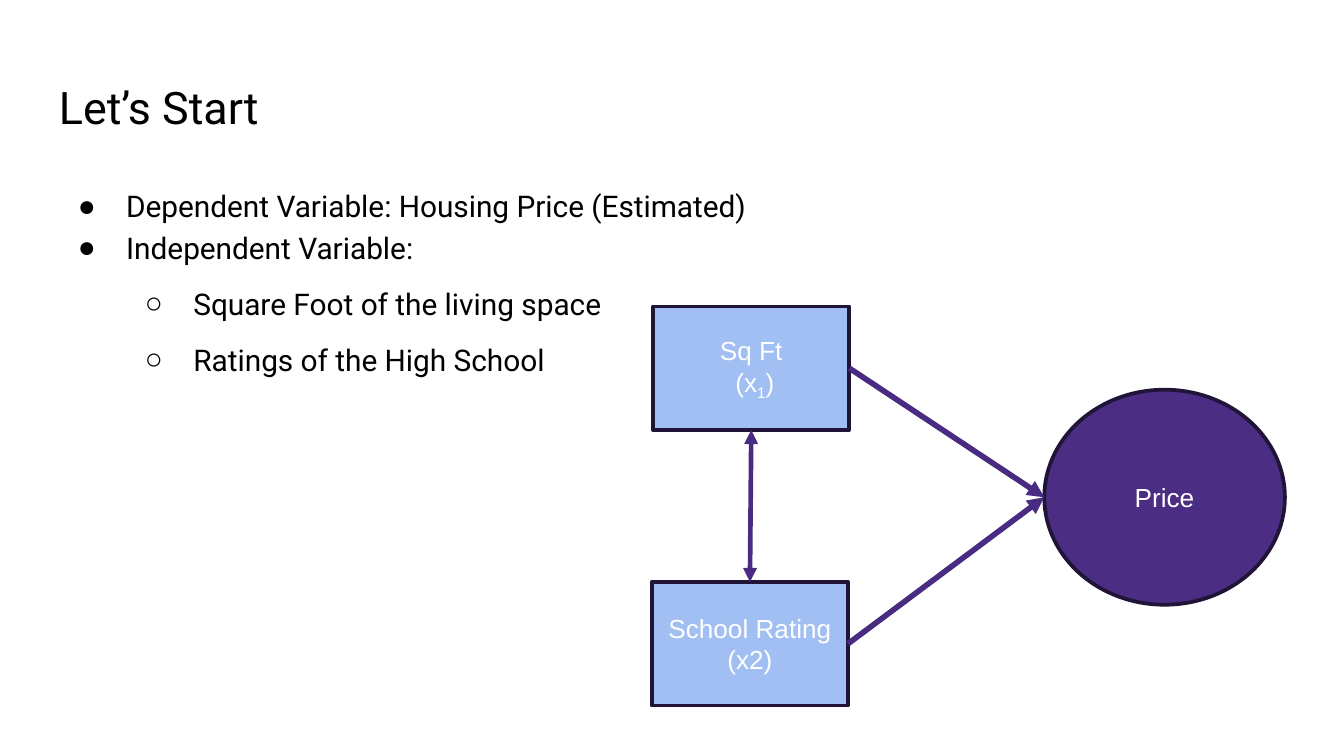
import lxml.etree
import pptx
import pptx.dml.color
import pptx.enum.shapes
import pptx.enum.text
import pptx.oxml.ns
import pptx.util

Inches = pptx.util.Inches
Pt = pptx.util.Pt
RGBColor = pptx.dml.color.RGBColor
Shape = pptx.enum.shapes.MSO_SHAPE
Align = pptx.enum.text.PP_ALIGN
qn = pptx.oxml.ns.qn

BLACK = RGBColor(0x00, 0x00, 0x00)
WHITE = RGBColor(0xFF, 0xFF, 0xFF)
PURPLE = RGBColor(0x4B, 0x2E, 0x83)
ARROW = RGBColor(0x49, 0x2B, 0x82)
OUTLINE = RGBColor(0x21, 0x14, 0x39)
BLUE = RGBColor(0xA1, 0xBF, 0xF3)


def write(frame, text, size=14, font="Arial", color=WHITE, align=Align.CENTER,
          bullet=None, level=0, spacing=None, before=0):
    para = frame.paragraphs[0] if not frame.text else frame.add_paragraph()
    para.alignment = align
    para.level = level
    para.space_before = Pt(before)
    if spacing:
        para.line_spacing = spacing
    if bullet:
        properties = para._p.get_or_add_pPr()
        properties.set("marL", str(Inches(0.5 * (level + 1))))
        properties.set("indent", str(Inches(-0.36)))
        tint = lxml.etree.SubElement(properties, qn("a:buClr"))
        lxml.etree.SubElement(tint, qn("a:srgbClr"), val=str(color))
        lxml.etree.SubElement(properties, qn("a:buFont"), typeface="Arial")
        lxml.etree.SubElement(properties, qn("a:buChar"), char=bullet)
    for index, part in enumerate(text.split("_")):
        span = para.add_run()
        span.text = part
        span.font.size = Pt(size)
        span.font.name = font
        span.font.color.rgb = color
        if index % 2:
            span._r.get_or_add_rPr().set("baseline", "-25000")


deck = pptx.Presentation()
deck.slide_width = Inches(10)
deck.slide_height = Inches(10) * 9 // 16
page = deck.slides.add_slide(deck.slide_layouts[6])

frames = []
for top, height in [(0.49, 0.63), (1.26, 3.74)]:
    box = page.shapes.add_textbox(Inches(0.34), Inches(top), Inches(9.32), Inches(height))
    frame = box.text_frame
    frame.word_wrap = True
    frame.margin_left = frame.margin_right = Inches(0.1)
    frame.margin_top = frame.margin_bottom = Inches(0.1)
    frames.append(frame)
title, body = frames

write(title, "Let’s Start", size=24, font="Roboto", color=BLACK, align=Align.LEFT)
for text, level in [
    ("Dependent Variable: Housing Price (Estimated)", 0),
    ("Independent Variable:", 0),
    ("Square Foot of the living space", 1),
    ("Ratings of the High School", 1),
]:
    write(body, text, size=16, font="Roboto", color=BLACK, align=Align.LEFT,
          bullet="●○"[level], level=level, spacing=1.15, before=8 * level)

for kind, left, top, width, height, fill, lines in [
    (Shape.OVAL, 7.77, 2.9, 1.79, 1.6, PURPLE, ["Price"]),
    (Shape.RECTANGLE, 4.86, 2.28, 1.46, 0.92, BLUE, ["Sq Ft", " (x_1_)"]),
    (Shape.RECTANGLE, 4.85, 4.33, 1.46, 0.92, BLUE, ["School Rating (x2)"]),
]:
    node = page.shapes.add_shape(kind, Inches(left), Inches(top), Inches(width), Inches(height))
    node.shadow.inherit = False
    node.fill.solid()
    node.fill.fore_color.rgb = fill
    node.line.color.rgb = OUTLINE
    node.line.width = Pt(2)
    node.text_frame.word_wrap = True
    node.text_frame.vertical_anchor = pptx.enum.text.MSO_ANCHOR.MIDDLE
    for text in lines:
        write(node.text_frame, text)

for x1, y1, x2, y2, weight, ends in [
    (6.32, 2.74, 7.77, 3.7, 3, ["tailEnd"]),
    (6.31, 4.79, 7.77, 3.7, 3, ["tailEnd"]),
    (5.59, 3.2, 5.58, 4.33, 2.5, ["headEnd", "tailEnd"]),
]:
    arrow = page.shapes.add_connector(pptx.enum.shapes.MSO_CONNECTOR.STRAIGHT,
                                      Inches(x1), Inches(y1), Inches(x2), Inches(y2))
    arrow.line.color.rgb = ARROW
    arrow.line.width = Pt(weight)
    for end in ends:
        lxml.etree.SubElement(arrow.line._get_or_add_ln(), qn("a:" + end), type="triangle")
    lxml.etree.SubElement(arrow._element.spPr, qn("a:effectLst"))

deck.save("out.pptx")
